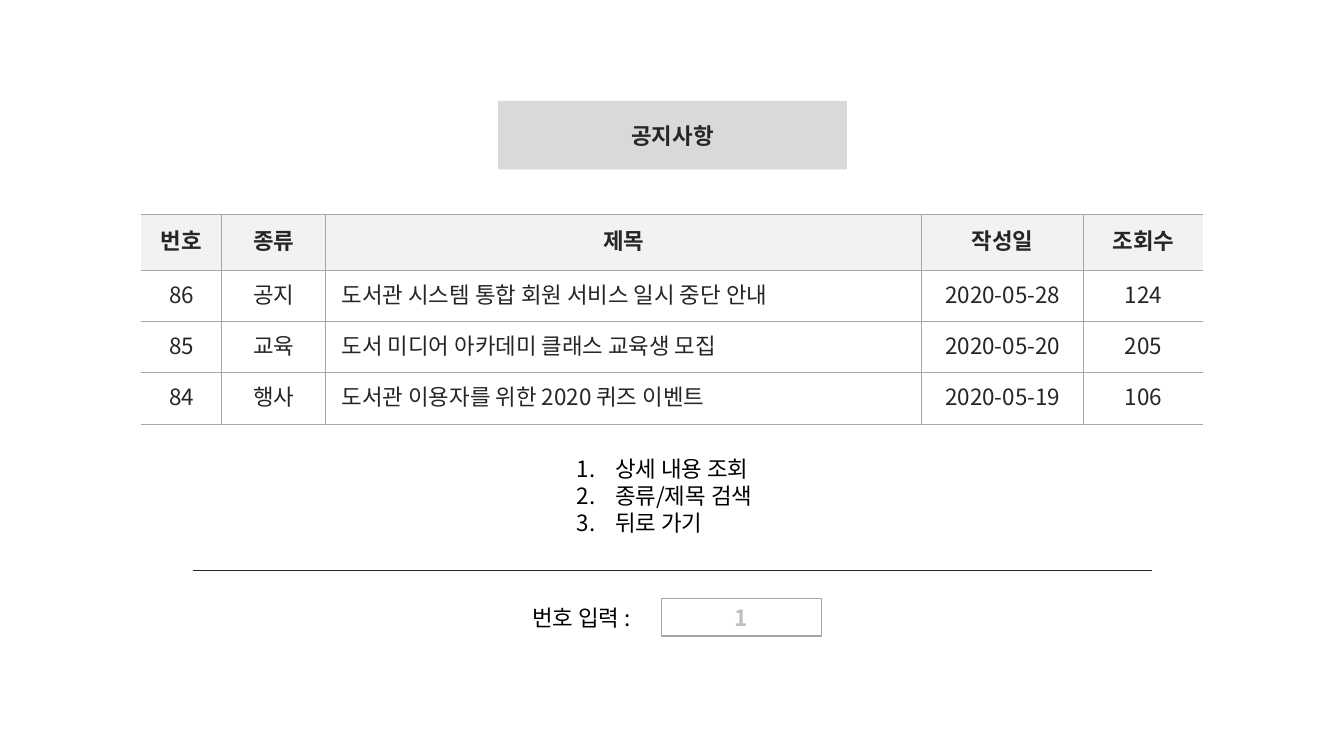
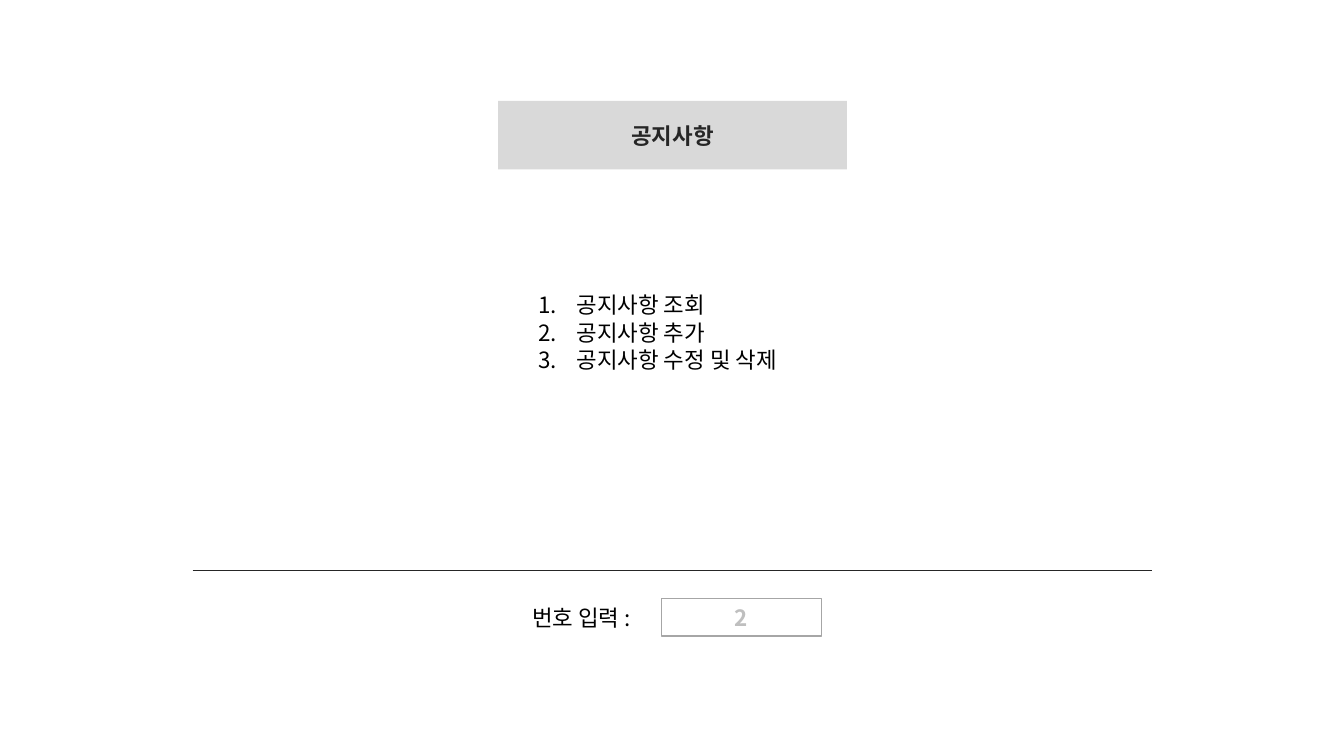
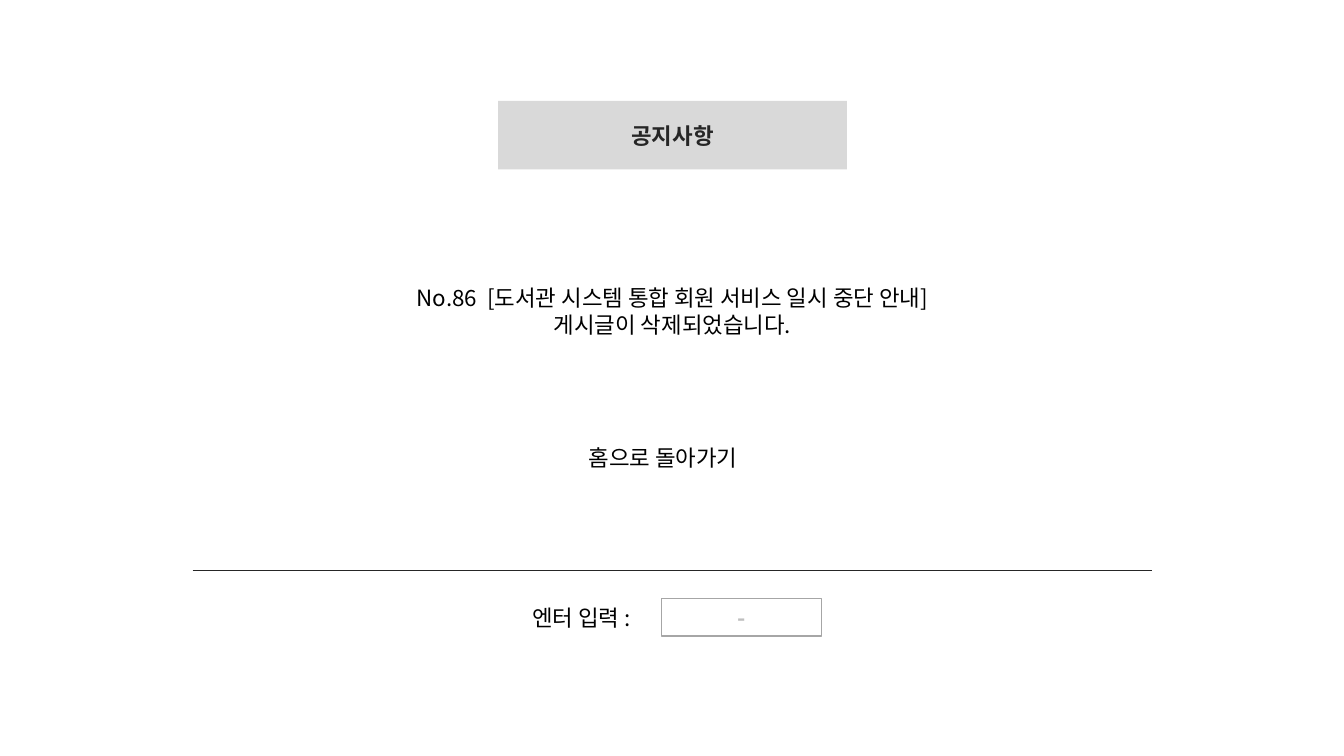
from lxml import etree
from pptx import Presentation
from pptx.dml.color import RGBColor
from pptx.enum import shapes, text
from pptx.oxml import ns
from pptx.util import Inches, Pt

INK = RGBColor(0x26, 0x26, 0x26)
BLACK = RGBColor(0x00, 0x00, 0x00)
WHITE = RGBColor(0xFF, 0xFF, 0xFF)
BAND = RGBColor(0xD9, 0xD9, 0xD9)
HEADER = RGBColor(0xF2, 0xF2, 0xF2)
RULE = RGBColor(0xA6, 0xA6, 0xA6)
HINT = RGBColor(0xBF, 0xBF, 0xBF)

FONT = "Noto Sans CJK KR"
TITLE_FONT = "Arial"
SIZE = Pt(16)
LINE_HEIGHT = Pt(19.4)
CENTER = text.PP_ALIGN.CENTER
LEFT = text.PP_ALIGN.LEFT

TITLE_AND_BODY, TITLE_ONLY = 1, 5

NOTICE_COLUMNS = [0.8, 1.03, 5.91, 1.61, 1.18]
NOTICE_ROWS = [
    ["번호", "종류", "제목", "작성일", "조회수"],
    ["86", "공지", "도서관 시스템 통합 회원 서비스 일시 중단 안내", "2020-05-28", "124"],
    ["85", "교육", "도서 미디어 아카데미 클래스 교육생 모집", "2020-05-20", "205"],
    ["84", "행사", "도서관 이용자를 위한 2020 퀴즈 이벤트", "2020-05-19", "106"],
]
SUBJECT_COLUMN = 2


def child(parent, tag, **attributes):
    return etree.SubElement(parent, ns.qn(tag), **attributes)


def place(shape, left, top, width, height):
    shape.left, shape.top = Inches(left), Inches(top)
    shape.width, shape.height = Inches(width), Inches(height)


def write(paragraph, string, color=BLACK, bold=False, align=LEFT, font=FONT):
    paragraph.alignment = align
    paragraph.line_spacing = LINE_HEIGHT
    paragraph.space_before = Pt(0)
    run = paragraph.add_run()
    run.text = string
    run.font.size = SIZE
    run.font.bold = bold
    run.font.color.rgb = color
    run.font.name = font
    child(run.font._element, "a:ea", typeface=FONT)


def write_lines(frame, lines, **style):
    """Write one paragraph per line and return the paragraphs."""
    frame.word_wrap = False
    frame.auto_size = text.MSO_AUTO_SIZE.SHAPE_TO_FIT_TEXT
    frame.vertical_anchor = text.MSO_ANCHOR.TOP
    for index, line in enumerate(lines):
        paragraph = frame.add_paragraph() if index else frame.paragraphs[0]
        write(paragraph, line, **style)
    return frame.paragraphs


def rule_cell(cell, hidden):
    """Draw thin rules on the sides of a cell, except the hidden ones."""
    properties = cell._tc.get_or_add_tcPr()
    for index, side in enumerate(["L", "R", "T", "B"]):
        border = etree.Element(ns.qn("a:ln" + side), w=str(Pt(0.75)))
        if side in hidden:
            child(border, "a:noFill")
        else:
            child(child(border, "a:solidFill"), "a:srgbClr", val=str(RULE))
        properties.insert(index, border)


class NoticeDeck:
    """Holds the presentation and the slide being built."""

    def __init__(self):
        self.presentation = Presentation()
        self.presentation.slide_width = Inches(13.33)
        self.presentation.slide_height = Inches(7.5)
        self.slide = None

    def start_slide(self, layout, prompt, entry):
        """Add a slide with the title band, the divider and the input row."""
        layouts = self.presentation.slide_layouts
        self.slide = self.presentation.slides.add_slide(layouts[layout])
        self.title("공지사항")
        self.divider()
        self.input_row(prompt, entry)

    def title(self, string):
        band = self.slide.shapes.title
        place(band, 4.94, 1, 3.46, 0.68)
        band.fill.solid()
        band.fill.fore_color.rgb = BAND
        frame = band.text_frame
        frame.auto_size = text.MSO_AUTO_SIZE.NONE
        frame.vertical_anchor = text.MSO_ANCHOR.MIDDLE
        write(frame.paragraphs[0], string, INK, True, CENTER, TITLE_FONT)

    def divider(self):
        line = self.slide.shapes.add_connector(
            shapes.MSO_CONNECTOR.STRAIGHT,
            Inches(1.91), Inches(5.66), Inches(11.43), Inches(5.66))
        line.line.color.rgb = INK
        line.line.width = Pt(0.5)
        child(line._element.spPr, "a:effectLst")

    def input_row(self, prompt, entry):
        group = self.slide.shapes.add_group_shape()
        self.text_box([prompt], 5.18, 5.94, 1.39, 0.37, owner=group)
        field = group.shapes.add_shape(
            shapes.MSO_SHAPE.RECTANGLE,
            Inches(6.56), Inches(5.94), Inches(1.59), Inches(0.37))
        field.shadow.inherit = False
        field.fill.solid()
        field.fill.fore_color.rgb = WHITE
        field.line.color.rgb = RULE
        field.line.width = Pt(1)
        frame = field.text_frame
        frame.vertical_anchor = text.MSO_ANCHOR.MIDDLE
        write(frame.paragraphs[0], entry, HINT, True, CENTER)

    def text_box(self, lines, left, top, width, height, align=LEFT, owner=None):
        box = (owner or self.slide).shapes.add_textbox(
            Inches(left), Inches(top), Inches(width), Inches(height))
        write_lines(box.text_frame, lines, align=align)

    def menu(self, choices, left, top, width, height):
        """Fill the body placeholder with a numbered list."""
        body = self.slide.placeholders[1]
        place(body, left, top, width, height)
        for paragraph in write_lines(body.text_frame, choices):
            properties = paragraph._p.get_or_add_pPr()
            properties.set("marL", str(Inches(0.38)))
            properties.set("indent", str(-Inches(0.38)))
            child(properties, "a:buFont", typeface="+mj-lt")
            child(properties, "a:buAutoNum", type="arabicPeriod")

    def notice_table(self, rows, column_widths):
        row_heights = [0.55] + [0.51] * (len(rows) - 1)
        table = self.slide.shapes.add_table(
            len(rows), len(column_widths), Inches(1.4), Inches(2.13),
            Inches(sum(column_widths)), Inches(sum(row_heights))).table
        table.first_row = table.horz_banding = False
        for column, width in zip(table.columns, column_widths):
            column.width = Inches(width)
        for row, height in zip(table.rows, row_heights):
            row.height = Inches(height)
        last = len(column_widths) - 1
        for row_index, values in enumerate(rows):
            is_header = row_index == 0
            for column_index, value in enumerate(values):
                is_subject = column_index == SUBJECT_COLUMN and not is_header
                cell = table.cell(row_index, column_index)
                cell.margin_right = cell.margin_top = cell.margin_bottom = 0
                cell.margin_left = Inches(0.16 if is_subject else 0)
                cell.vertical_anchor = text.MSO_ANCHOR.MIDDLE
                cell.fill.solid()
                cell.fill.fore_color.rgb = HEADER if is_header else WHITE
                rule_cell(cell, {0: "L", last: "R"}.get(column_index, ""))
                write(cell.text_frame.paragraphs[0], value, INK, is_header,
                      LEFT if is_subject else CENTER)


def main():
    deck = NoticeDeck()

    deck.start_slide(TITLE_AND_BODY, "번호 입력 :", "1")
    deck.notice_table(NOTICE_ROWS, NOTICE_COLUMNS)
    deck.menu(["상세 내용 조회", "종류/제목 검색", "뒤로 가기"], 5.62, 4.46, 2.08, 0.91)

    deck.start_slide(TITLE_AND_BODY, "번호 입력 :", "2")
    deck.menu(["공지사항 조회", "공지사항 추가", "공지사항 수정 및 삭제"],
              5.24, 2.84, 2.92, 0.91)

    deck.start_slide(TITLE_ONLY, "엔터 입력 :", "-")
    deck.text_box(["No.86  [도서관 시스템 통합 회원 서비스 일시 중단 안내]",
                   "게시글이 삭제되었습니다."], 3.72, 2.77, 5.9, 0.64, CENTER)
    deck.text_box(["홈으로 돌아가기"], 5.74, 4.35, 1.85, 0.37)

    deck.presentation.save("out.pptx")


if __name__ == "__main__":
    main()
